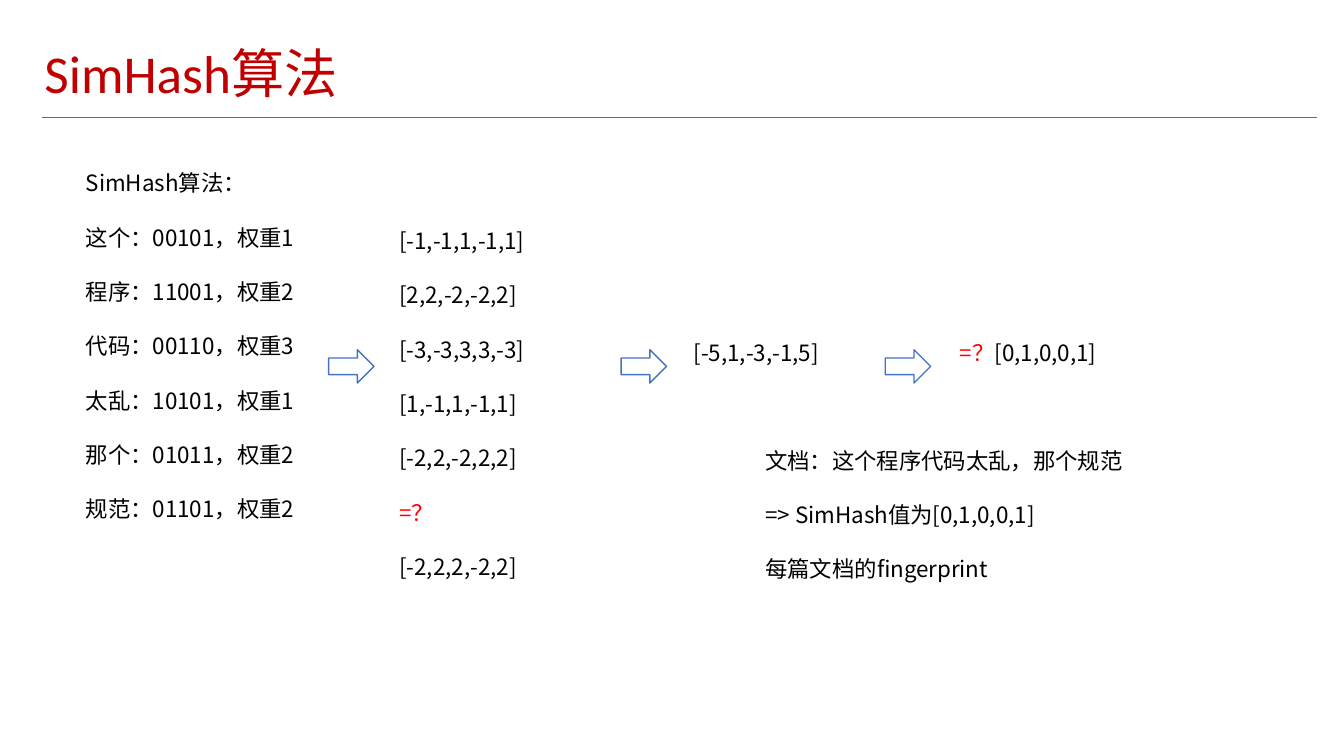
from pptx import Presentation
from pptx import util as u
from pptx.dml import color
from pptx.enum import shapes, text
from pptx.oxml import ns
from lxml import etree

CJK = "Noto Sans CJK SC"
BLACK, RED = "000000", "FF0000"


def rgb(code):
    """Turn a hex string into a colour."""
    return color.RGBColor.from_string(code)


def set_font(para, name, size, code):
    """Set the font of a whole paragraph, East Asian text included."""
    font = para.font
    font.name, font.size = name, u.Pt(size)
    font.color.rgb = rgb(code)
    props = para._p.pPr.find(ns.qn("a:defRPr"))
    etree.SubElement(props, ns.qn("a:ea")).set("typeface", CJK)


def set_frame(frame, anchor):
    """Give a text frame its margins, wrapping and anchor."""
    frame.word_wrap = True
    frame.auto_size = text.MSO_AUTO_SIZE.NONE
    frame.vertical_anchor = anchor
    frame.margin_left = frame.margin_right = u.Inches(0.05)
    frame.margin_top = frame.margin_bottom = u.Inches(0.05)


def place(shape, left, top, width, height):
    """Move and size a shape."""
    shape.left, shape.top = u.Inches(left), u.Inches(top)
    shape.width, shape.height = u.Inches(width), u.Inches(height)


def add_title(slide, words):
    """Fill the title and draw the rule below it."""
    title = slide.shapes.title
    place(title, 0.39, 0.4, 11.13, 0.71)
    set_frame(title.text_frame, text.MSO_ANCHOR.MIDDLE)
    para = title.text_frame.paragraphs[0]
    para.text = words
    para.alignment = text.PP_ALIGN.LEFT
    para.line_spacing = 0.9
    set_font(para, "Calibri", 38, "C00000")
    rule = slide.shapes.add_connector(
        shapes.MSO_CONNECTOR.STRAIGHT,
        u.Inches(0.42), u.Inches(1.17), u.Inches(13.06), u.Inches(1.17))
    rule.line.color.rgb = rgb("3F6FC3")
    rule.line.width = u.Pt(0.75)
    etree.SubElement(rule._element.spPr, ns.qn("a:effectLst"))


def add_lines(slide, left, top, width, height, lines):
    """Add a text box; each line is a list of (words, colour) runs."""
    box = slide.shapes.add_textbox(0, 0, 0, 0)
    place(box, left, top, width, height)
    frame = box.text_frame
    set_frame(frame, text.MSO_ANCHOR.TOP)
    for num, runs in enumerate(lines):
        para = frame.add_paragraph() if num else frame.paragraphs[0]
        para.alignment = text.PP_ALIGN.JUSTIFY
        para.line_spacing = u.Pt(28.8)
        para.space_before = u.Pt(10 if num else 0)
        set_font(para, CJK, 16, runs[0][1])
        for words, code in runs:
            run = para.add_run()
            run.text = words
            if len(runs) > 1:
                run.font.color.rgb = rgb(code)


def add_arrow(slide, left):
    """Add a block arrow pointing to the next step."""
    arrow = slide.shapes.add_shape(
        shapes.MSO_SHAPE.RIGHT_ARROW, 0, 0, 0, 0)
    place(arrow, left, 3.47, 0.45, 0.33)
    arrow.shadow.inherit = False
    arrow.fill.solid()
    arrow.fill.fore_color.rgb = rgb("FFFFFF")
    arrow.line.color.rgb = rgb("4472C4")
    arrow.line.width = u.Pt(1)


def plain(*lines):
    """Make single-run black lines."""
    return [[(line, BLACK)] for line in lines]


def main():
    """Build the slide and save it."""
    deck = Presentation()
    deck.slide_width, deck.slide_height = u.Inches(13.33), u.Inches(7.5)
    slide = deck.slides.add_slide(deck.slide_layouts[5])
    add_title(slide, "SimHash算法")

    words = [("这个", "00101", 1), ("程序", "11001", 2), ("代码", "00110", 3),
             ("太乱", "10101", 1), ("那个", "01011", 2), ("规范", "01101", 2)]
    hashes = [f"{word}：{code}，权重{weight}" for word, code, weight in words]
    add_lines(slide, 0.8, 1.5, 4.52, 5.41, plain("SimHash算法：", *hashes))

    ask = ("=？", RED)
    rows = plain("[-1,-1,1,-1,1]", "[2,2,-2,-2,2]", "[-3,-3,3,3,-3]",
                 "[1,-1,1,-1,1]", "[-2,2,-2,2,2]")
    rows += [[ask]] + plain("[-2,2,2,-2,2]")
    add_lines(slide, 3.91, 2.07, 4.52, 3.82, rows)

    add_lines(slide, 6.83, 3.18, 1.82, 0.5, plain("[-5,1,-3,-1,5]"))
    add_lines(slide, 9.47, 3.18, 1.82, 0.5, [[ask, ("[0,1,0,0,1]", BLACK)]])
    add_lines(slide, 7.54, 4.25, 4.52, 1.6,
              plain("文档：这个程序代码太乱，那个规范",
                    "=> SimHash值为[0,1,0,0,1]", "每篇文档的fingerprint"))
    for left in (3.26, 6.16, 8.78):
        add_arrow(slide, left)
    deck.save("out.pptx")


if __name__ == "__main__":
    main()
